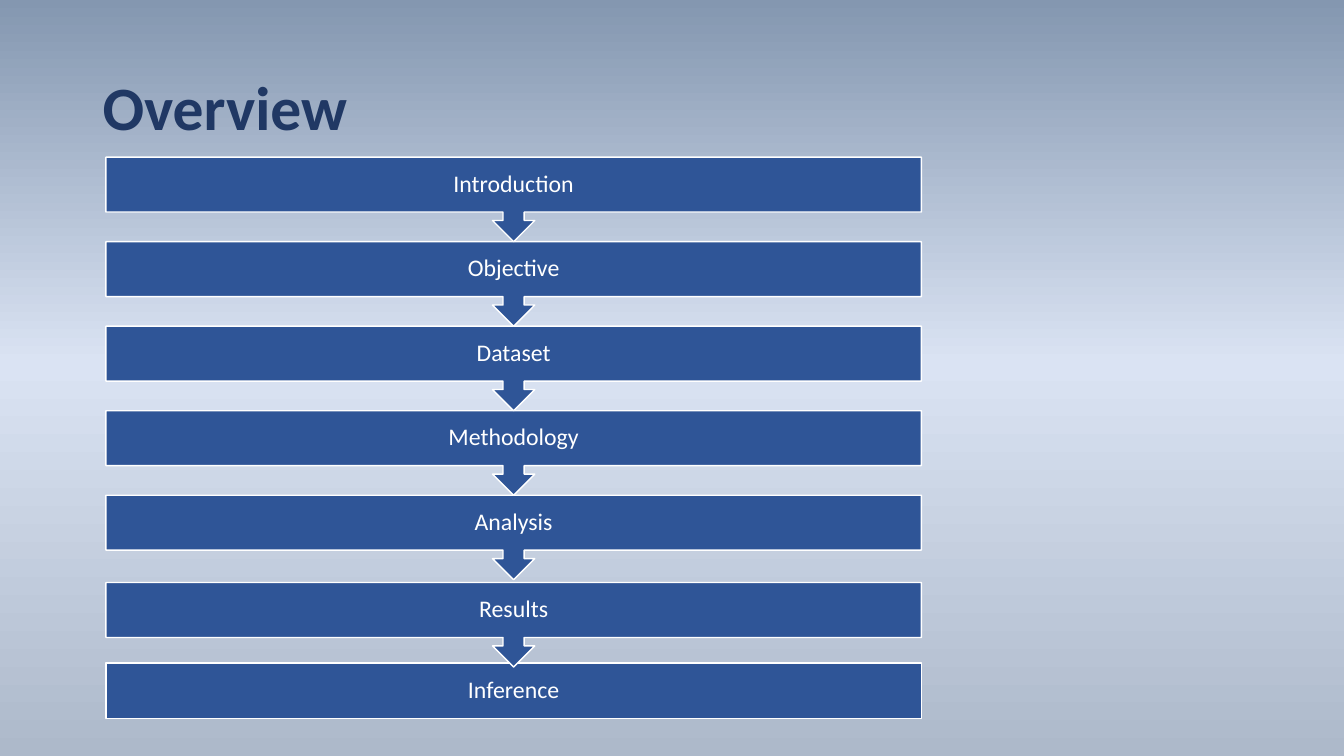
from copy import deepcopy

from pptx import Presentation
from pptx.dml.color import RGBColor
from pptx.enum.shapes import MSO_SHAPE as Shape
from pptx.enum.text import MSO_ANCHOR as Anchor, PP_ALIGN as Align
from pptx.oxml.ns import qn
from pptx.util import Cm, Pt

NAVY, BLUE, WHITE = "203864", "2F5597", "FFFFFF"
BACKGROUND_STOPS = [(0, "8497B0"), (0.48, "DAE3F3"), (1, "ADB9CA")]

# The first five steps are evenly spaced; the last two have their own tops.
FIRST_TOP, STEP_PITCH = 3.96, 2.13
EVEN_STEPS = ["Introduction", "Objective", "Dataset", "Methodology", "Analysis"]
STEPS = [(name, FIRST_TOP + i * STEP_PITCH) for i, name in enumerate(EVEN_STEPS)]
STEPS += [("Results", 14.68), ("Inference", 16.71)]
STEP_LEFT, STEP_WIDTH = 2.67, 20.55
BOX_HEIGHT, CALLOUT_HEIGHT = 1.39, 2.13


def color(hex_code):
    return RGBColor.from_string(hex_code)


def apply(target, values):
    """Set each named attribute of target."""
    for name, value in values.items():
        setattr(target, name, value)


class SlideBuilder:
    """Holds the text style and the current slide."""

    font = "Calibri"

    def __init__(self, page):
        self.page = page

    def background(self, stops):
        fill = self.page.background.fill
        fill.gradient()
        fill.gradient_angle = 270
        stop_list = next(self.page.element.iter(qn("a:gsLst")))
        while len(stop_list) < len(stops):
            stop_list.append(deepcopy(stop_list[0]))
        for stop, (position, hex_code) in zip(fill.gradient_stops, stops):
            stop.position = position
            stop.color.rgb = color(hex_code)

    def label(self, box, text, size, hex_code, align, bold=False):
        frame = box.text_frame
        apply(frame, {"word_wrap": True, "vertical_anchor": Anchor.MIDDLE})
        para = frame.paragraphs[0]
        apply(para, {"alignment": align, "line_spacing": 0.9})
        span = para.add_run()
        span.text = text
        apply(span.font, {"name": self.font, "size": Pt(size), "bold": bold})
        span.font.color.rgb = color(hex_code)

    def title(self, text, left, top, width, height):
        box = self.page.shapes.title
        apply(box, {"left": Cm(left), "top": Cm(top),
                    "width": Cm(width), "height": Cm(height)})
        self.label(box, text, 44, NAVY, Align.LEFT, bold=True)

    def step(self, kind, text, top, height):
        box = self.page.shapes.add_shape(
            kind, Cm(STEP_LEFT), Cm(top), Cm(STEP_WIDTH), Cm(height))
        box.shadow.inherit = False
        box.fill.solid()
        box.fill.fore_color.rgb = color(BLUE)
        box.line.color.rgb = color(WHITE)
        box.line.width = Pt(1)
        sides = ("left", "top", "right", "bottom")
        apply(box.text_frame, {f"margin_{side}": Cm(0.33) for side in sides})
        self.label(box, text, 17, WHITE, Align.CENTER)


def main():
    deck = Presentation()
    apply(deck, {"slide_width": Cm(33.87), "slide_height": Cm(19.05)})
    builder = SlideBuilder(deck.slides.add_slide(deck.slide_layouts[5]))
    builder.background(BACKGROUND_STOPS)
    builder.title("Overview", 2.33, 0.94, 29.21, 3.68)

    # Drawn from the last step up, so each arrow lies over the next box.
    *callouts, (last_name, last_top) = STEPS
    builder.step(Shape.RECTANGLE, last_name, last_top, BOX_HEIGHT)
    for name, top in reversed(callouts):
        builder.step(Shape.DOWN_ARROW_CALLOUT, name, top, CALLOUT_HEIGHT)
    deck.save("out.pptx")


if __name__ == "__main__":
    main()
